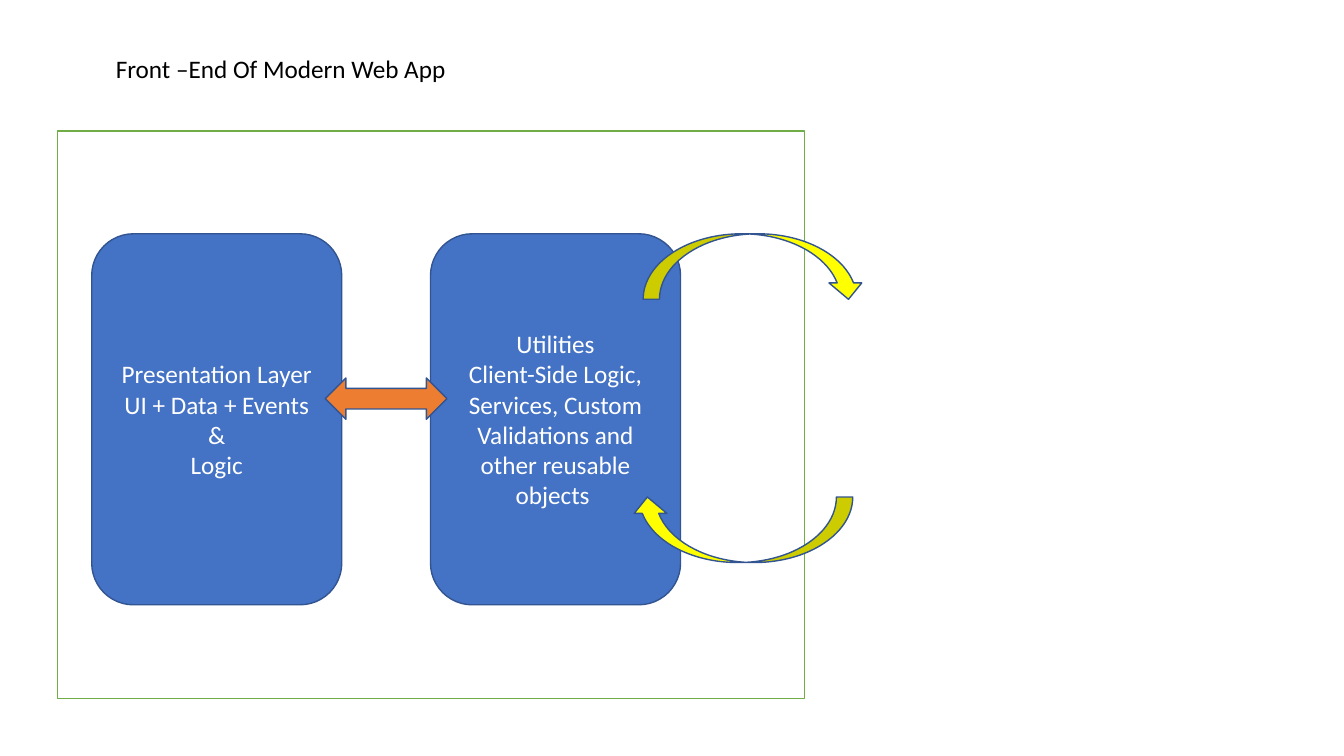
from pptx import Presentation
from pptx.dml.color import RGBColor
from pptx.enum.shapes import MSO_SHAPE
from pptx.enum.text import MSO_ANCHOR, MSO_AUTO_SIZE, PP_ALIGN
from pptx.util import Pt

RECT, ROUNDED = MSO_SHAPE.RECTANGLE, MSO_SHAPE.ROUNDED_RECTANGLE
TWO_WAY, CURVED = MSO_SHAPE.LEFT_RIGHT_ARROW, MSO_SHAPE.CURVED_DOWN_ARROW
MIDDLE, CENTER, LEFT = MSO_ANCHOR.MIDDLE, PP_ALIGN.CENTER, PP_ALIGN.LEFT
GROW = MSO_AUTO_SIZE.SHAPE_TO_FIT_TEXT

WHITE, BLACK, BLUE, NAVY = "FFFFFF", "000000", "4472C4", "325491"
GREEN, ORANGE, YELLOW = "70AD47", "ED7D31", "FFFF00"
FONT = {"name": "Calibri", "size": Pt(18)}

LAYERS = [
    ["Presentation Layer", "UI + Data + Events", "&", "Logic"],
    ["Utilities",
     "Client-Side Logic, Services, Custom Validations and other reusable objects "],
]


def rgb(value):
    return RGBColor.from_string(value)


def write(tf, lines, color, align):
    tf.word_wrap = True
    for i, line in enumerate(lines):
        p = tf.paragraphs[0] if i == 0 else tf.add_paragraph()
        p.alignment = align
        r = p.add_run()
        r.text = line
        for key, value in FONT.items():
            setattr(r.font, key, value)
        r.font.color.rgb = rgb(color)


def add_block(s, kind, box, fill, line=NAVY):
    sp = s.shapes.add_shape(kind, *map(Pt, box))
    sp.shadow.inherit = False
    sp.fill.solid()
    sp.fill.fore_color.rgb = rgb(fill)
    sp.line.color.rgb = rgb(line)
    sp.line.width = Pt(1)
    return sp


def add_title(s, box):
    tf = s.shapes.add_textbox(*map(Pt, box)).text_frame
    write(tf, ["Front –End Of Modern Web App"], BLACK, LEFT)
    tf.auto_size = GROW


def add_front_end(s, box):
    x, y, w, h = box
    add_block(s, RECT, box, WHITE, GREEN)

    # Layers side by side
    layer_x, layer_y, layer_w, layer_h = x + 24.5, y + 73.4, 178.6, 265
    pitch = 242
    for i, lines in enumerate(LAYERS):
        sp = add_block(s, ROUNDED, (layer_x + i * pitch, layer_y, layer_w, layer_h), BLUE)
        sp.text_frame.vertical_anchor = MIDDLE
        write(sp.text_frame, lines, WHITE, CENTER)

    # Two-way arrow bridging the gap, overlapping both layers
    overlap = 11.8
    gap = pitch - layer_w
    add_block(s, TWO_WAY, (layer_x + layer_w - overlap, layer_y + 103,
                           gap + 2 * overlap, 29.5), ORANGE)

    # Curved arrows leaving and returning to the front end
    for dx, dy, turn in ((418.4, 0, 0), (409.7, 188, 180)):
        sp = add_block(s, CURVED, (x + dx, layer_y + dy, 158.4, 46.8), YELLOW)
        sp.rotation = turn


def main():
    prs = Presentation()
    prs.slide_width, prs.slide_height = Pt(960), Pt(540)
    s = prs.slides.add_slide(prs.slide_layouts[6])
    add_front_end(s, (41, 93.6, 533.5, 405.4))
    add_title(s, (75.6, 34.6, 334.8, 29))
    prs.save("out.pptx")


if __name__ == "__main__":
    main()
